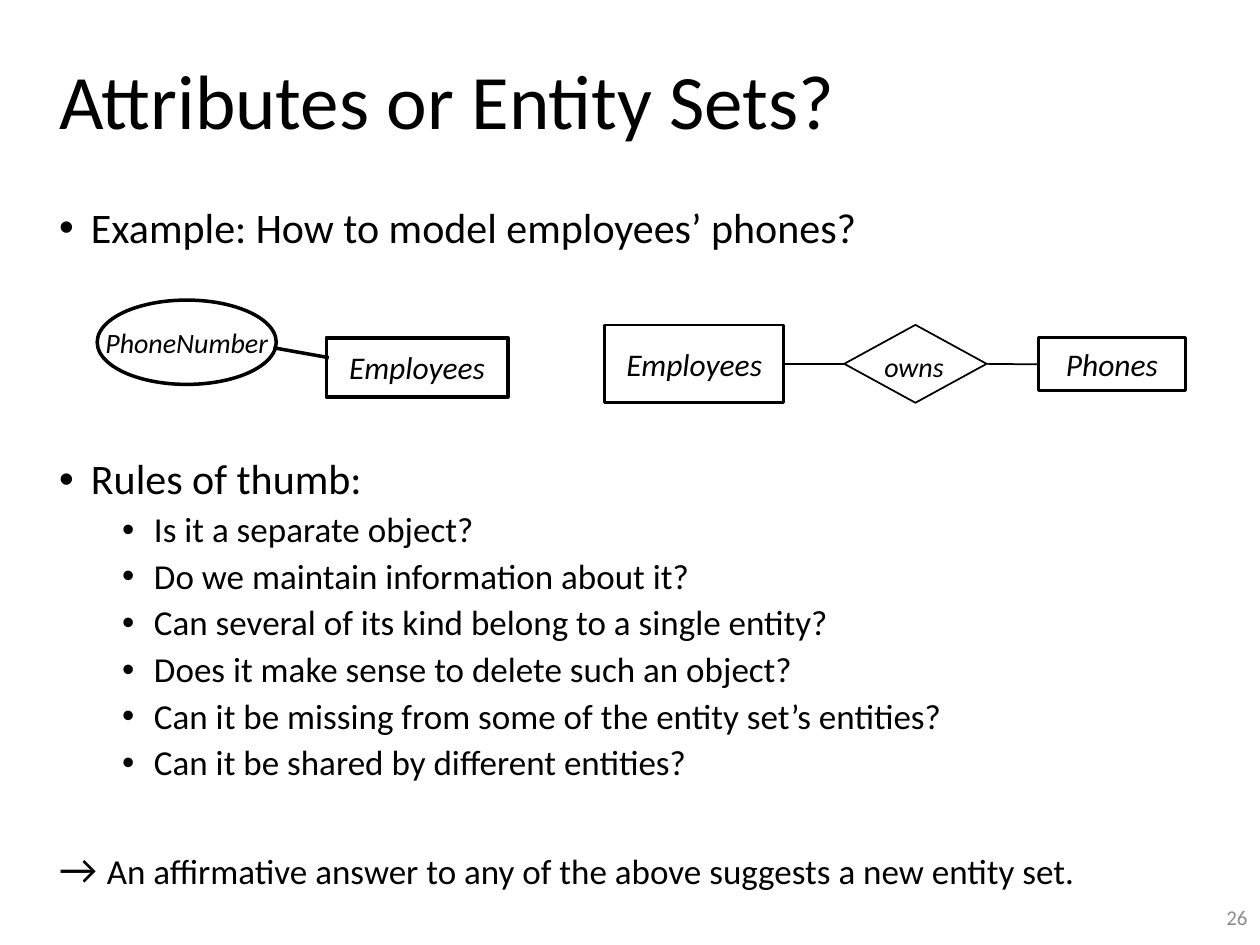
from lxml.etree import SubElement
from pptx import Presentation
from pptx.dml.color import RGBColor
from pptx.enum.shapes import MSO_CONNECTOR as Line, MSO_SHAPE as Shape
from pptx.enum.text import MSO_ANCHOR as Anchor, MSO_AUTO_SIZE as AutoSize, PP_ALIGN as Align
from pptx.oxml.ns import qn
from pptx.util import Cm, Pt

COLORS = {"ink": "000000", "paper": "FFFFFF", "number": "8C8C8C"}
FONT = "Calibri"
LEFT, RIGHT = 1, 3  # connection sites


class SlideBuilder:
    """Holds the style, the current slide and the group being drawn on."""

    def __init__(self, page):
        self.page = page
        self.canvas = page.shapes

    def start_group(self):
        self.canvas = self.page.shapes.add_group_shape().shapes

    def color(self, name):
        return RGBColor.from_string(COLORS[name])

    def style(self, para, size, color="ink", italic=False, align=Align.LEFT):
        para.alignment = align
        font = para.font
        font.name, font.size, font.italic = FONT, Pt(size), italic
        font.color.rgb = self.color(color)

    def place(self, box, area):
        box.left, box.top, box.width, box.height = map(Cm, area)

    def title(self, text, area):
        box = self.page.shapes.title
        self.place(box, area)
        frame = box.text_frame
        frame.text, frame.auto_size = text, AutoSize.NONE
        frame.vertical_anchor = Anchor.MIDDLE
        para = frame.paragraphs[0]
        para.line_spacing = 0.9
        self.style(para, 44)

    def body(self, area):
        box = self.page.placeholders[1]
        self.place(box, area)
        box.text_frame.auto_size = AutoSize.NONE
        return box.text_frame

    def item(self, frame, text, size, before, level=0, bullet=True):
        para = frame.paragraphs[0] if not frame.text else frame.add_paragraph()
        para.level = level
        para.line_spacing, para.space_before = 0.9, Pt(before)
        props = para._p.get_or_add_pPr()
        hang = Cm(0.64) if bullet else 0
        props.set("marL", str(hang + level * Cm(1.27)))
        props.set("indent", str(-hang))
        if bullet:
            SubElement(props, qn("a:buFont"), typeface="Arial")
            SubElement(props, qn("a:buChar"), char="•")
        else:
            SubElement(props, qn("a:buNone"))
        para.add_run().text = text
        self.style(para, size)
        return para

    def node(self, kind, area, width, text="", size=18, fill=None):
        shape = self.canvas.add_shape(kind, *map(Cm, area))
        shape.shadow.inherit = False
        if fill:
            shape.fill.solid()
            shape.fill.fore_color.rgb = self.color(fill)
        else:
            shape.fill.background()
        shape.line.color.rgb = self.color("ink")
        shape.line.width = Pt(width)
        if text:
            frame = shape.text_frame
            frame.text, frame.word_wrap = text, False
            frame.vertical_anchor = Anchor.MIDDLE
            self.style(frame.paragraphs[0], size, italic=True, align=Align.CENTER)
        return shape

    def label(self, text, area, size, align, anchor=Anchor.TOP, **look):
        box = self.canvas.add_textbox(*map(Cm, area))
        frame = box.text_frame
        frame.text, frame.vertical_anchor = text, anchor
        self.style(frame.paragraphs[0], size, align=align, **look)

    def line(self, width, points=(0, 0, 0, 0)):
        link = self.canvas.add_connector(Line.STRAIGHT, *map(Cm, points))
        link.line.color.rgb = self.color("ink")
        link.line.width = Pt(width)
        SubElement(link._element.spPr, qn("a:effectLst"))
        return link

    def join(self, first, second, width):
        link = self.line(width)
        link.begin_connect(first, RIGHT)
        link.end_connect(second, LEFT)


def main():
    deck = Presentation()
    deck.slide_width, deck.slide_height = Cm(25.4), Cm(19.05)
    builder = SlideBuilder(deck.slides.add_slide(deck.slide_layouts[1]))

    # Title and list, with room for the diagrams above the rules
    builder.title("Attributes or Entity Sets?", (0.94, 0.46, 24.46, 3.28))
    frame = builder.body((0.94, 4.04, 22.71, 14.63))
    builder.item(frame, "Example: How to model employees’ phones?", 24, 0)
    builder.item(frame, "Rules of thumb:", 24, 118)
    for rule in (
        "Is it a separate object?",
        "Do we maintain information about it?",
        "Can several of its kind belong to a single entity?",
        "Does it make sense to delete such an object?",
        "Can it be missing from some of the entity set’s entities?",
        "Can it be shared by different entities?",
    ):
        builder.item(frame, rule, 20, 5, level=1)

    # Conclusion with a larger arrow
    conclusion = builder.item(frame, "→ ", 20, 37, bullet=False)
    conclusion.runs[0].font.size = Pt(24)
    span = conclusion.add_run()
    span.text = "An affirmative answer to any of the above suggests a new entity set."

    # Slide number
    builder.label("26", (19.69, 17.98, 5.71, 1.02), 12, Align.RIGHT,
                  Anchor.MIDDLE, color="number")

    # Phone as an attribute
    builder.start_group()
    builder.node(Shape.RECTANGLE, (6.58, 6.81, 3.66, 1.19), 2, "Employees")
    builder.node(Shape.OVAL, (1.96, 6.05, 3.61, 1.7), 2, "PhoneNumber", 16)
    builder.line(2, (5.51, 7.01, 6.63, 7.21))

    # Phone as an entity set
    builder.start_group()
    employees = builder.node(Shape.RECTANGLE, (12.19, 6.55, 3.61, 1.57), 1.5,
                             "Employees", fill="paper")
    owns = builder.node(Shape.DIAMOND, (17.02, 6.55, 2.87, 1.57), 1, fill="paper")
    phones = builder.node(Shape.RECTANGLE, (20.93, 6.81, 2.97, 1.07), 1.5,
                          "Phones", fill="paper")
    builder.join(employees, owns, 1)
    builder.join(owns, phones, 1)
    builder.label("owns", (17.55, 6.93, 1.75, 0.94), 16, Align.CENTER, italic=True)

    deck.save("out.pptx")


if __name__ == "__main__":
    main()
